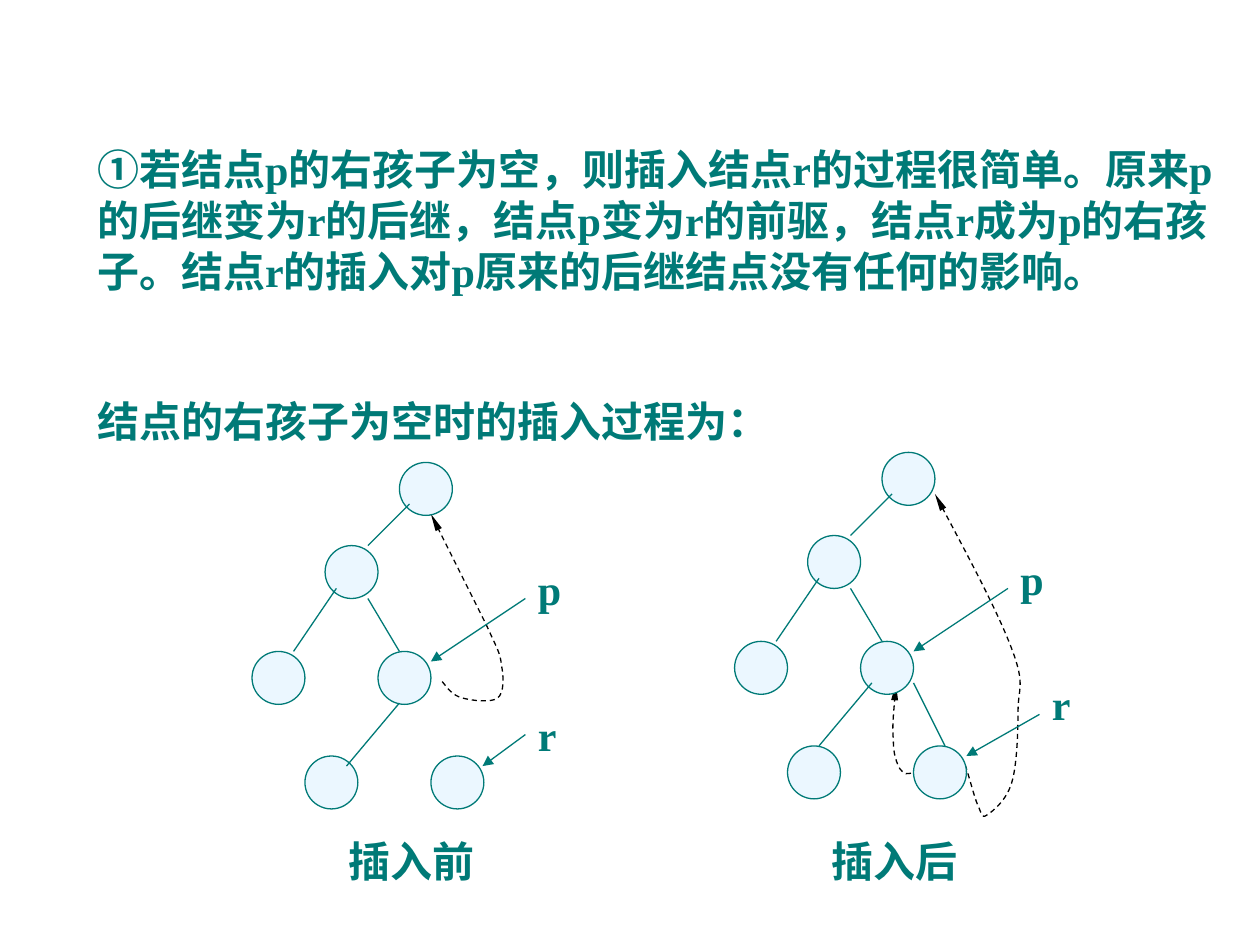
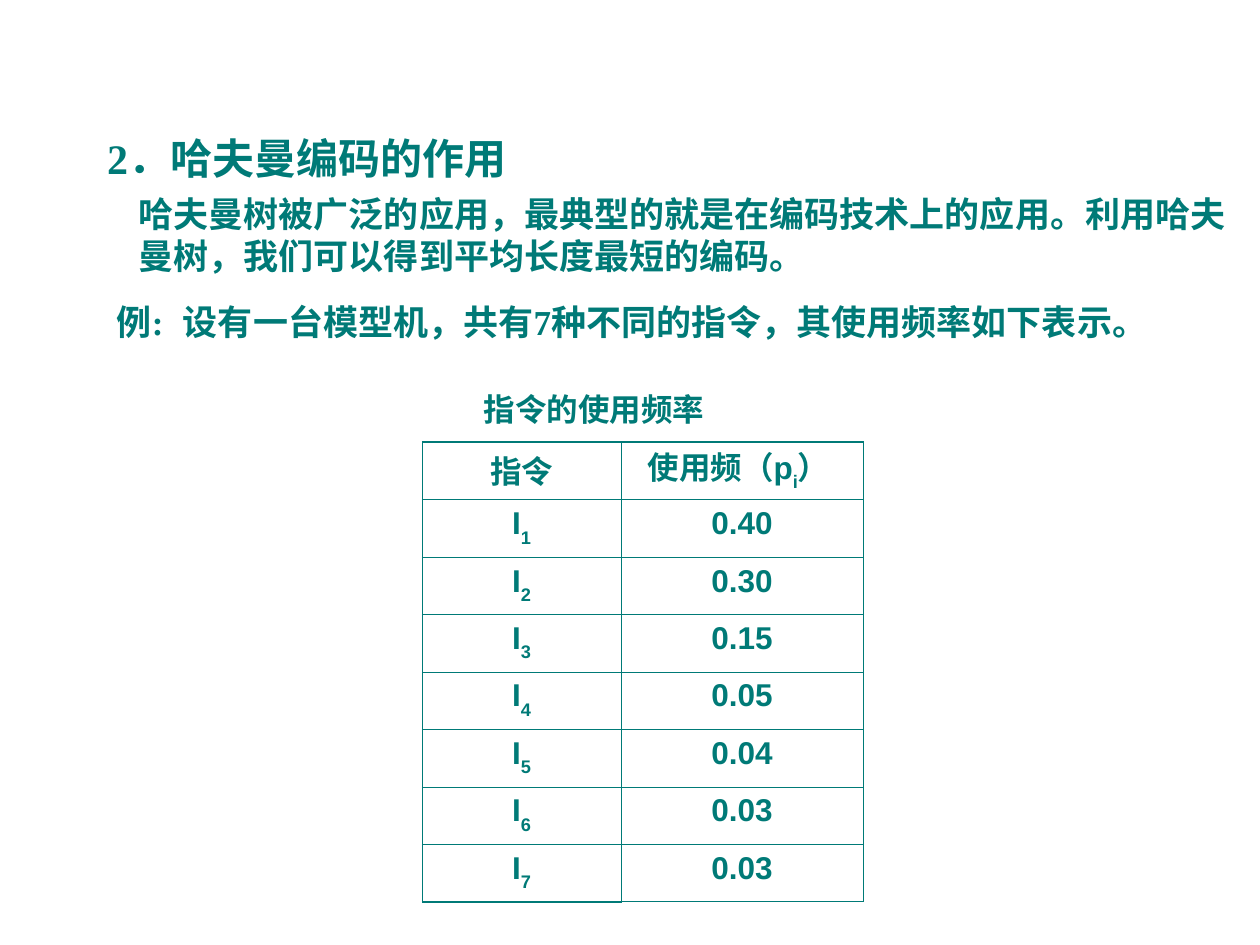
"""Builds two slides on threaded tree insertion and Huffman coding."""
from itertools import groupby

from lxml.etree import SubElement
from pptx import Presentation
from pptx.dml.color import RGBColor
from pptx.enum.dml import MSO_LINE
from pptx.enum.shapes import MSO_CONNECTOR, MSO_SHAPE
from pptx.enum.text import MSO_ANCHOR, MSO_AUTO_SIZE, PP_ALIGN
from pptx.oxml.ns import qn
from pptx.util import Inches, Pt

COLORS = {"teal": "007A77", "node": "EBF7FF", "thread": "000000"}
CJK, SERIF, SANS = "Noto Sans CJK SC", "Times New Roman", "Arial"
THIN, THICK = 0.45, 1.08

NODE_SIZE = 0.42
NODES = [(3.17, 3.67), (2.58, 4.33), (2, 5.17), (3, 5.17), (2.42, 6), (3.42, 6)]
EDGES = [((3.25, 4), (2.92, 4.33)), ((2.67, 4.67), (2.33, 5.17)),
         ((2.92, 4.75), (3.17, 5.17))]
P_ARROW = ((4.17, 4.75), (3.42, 5.25))
AFTER_SHIFT = (3.83, -0.08)

THREAD_BEFORE = [
    (3.51, 5.41), (3.55, 5.46), (3.59, 5.52), (3.67, 5.54), (3.74, 5.56),
    (3.9, 5.58), (3.95, 5.54), (4, 5.5), (4, 5.38), (3.98, 5.28),
    (3.97, 5.18), (3.95, 5.16), (3.86, 4.96), (3.76, 4.76), (3.59, 4.42),
    (3.42, 4.08)]
THREAD_R_TO_P = [
    (7.36, 5.97), (7.32, 6.03), (7.29, 6.09), (7.26, 6.12), (7.24, 6.14),
    (7.21, 6.14), (7.19, 6.14), (7.17, 6.13), (7.15, 6.12), (7.13, 6.08),
    (7.11, 6.03), (7.09, 5.98), (7.09, 5.87), (7.08, 5.76), (7.1, 5.59),
    (7.11, 5.42)]
THREAD_R_TO_ROOT = [
    (7.66, 6.07), (7.7, 6.19), (7.73, 6.32), (7.76, 6.39), (7.79, 6.45),
    (7.79, 6.5), (7.83, 6.47), (7.88, 6.44), (7.99, 6.35), (8.03, 6.21),
    (8.07, 6.08), (8.08, 5.81), (8.08, 5.64), (8.08, 5.46), (8.14, 5.44),
    (8.03, 5.15), (7.92, 4.86), (7.67, 4.39), (7.42, 3.92)]

FREQUENCIES = ["0.40", "0.30", "0.15", "0.05", "0.04", "0.03", "0.03"]


def rgb(name):
    return RGBColor.from_string(COLORS[name])


def add_runs(p, text, size, latin=SERIF, sub=False):
    for is_ascii, chars in groupby(text, str.isascii):
        r = p.add_run()
        r.text = "".join(chars)
        r.font.size, r.font.bold = Pt(size), True
        r.font.color.rgb = rgb("teal")
        r.font.name = latin if is_ascii else CJK
        rPr = r.font._element
        SubElement(rPr, qn("a:ea"), typeface=CJK)
        if sub:
            rPr.set("baseline", "-30000")
        if r.text.startswith(":"):
            rPr.set("spc", "300")


def write_text(sp, box, text, size=24, align=PP_ALIGN.LEFT):
    sp.left, sp.top, sp.width, sp.height = map(Inches, box)
    tf = sp.text_frame
    tf.word_wrap, tf.auto_size = True, MSO_AUTO_SIZE.NONE
    tf.vertical_anchor = MSO_ANCHOR.TOP
    p = tf.paragraphs[0]
    p.alignment, p.space_before = align, Pt(0)
    p.line_spacing = Pt(size * 1.215)
    pPr = p._p.get_or_add_pPr()
    pPr.set("marL", "0")
    pPr.set("indent", "0")
    SubElement(pPr, qn("a:buNone"))
    add_runs(p, text, size)


def add_text(slide, box, text, **style):
    sp = slide.shapes.add_textbox(*map(Inches, box))
    write_text(sp, box, text, **style)


def style_line(sp, color, arrow_width=None):
    sp.line.color.rgb, sp.line.width = rgb(color), Pt(0.75)
    if arrow_width:
        SubElement(sp.line._get_or_add_ln(), qn("a:tailEnd"), type="triangle",
                   w=arrow_width, len="lg" if arrow_width == "sm" else "med")


def add_line(slide, start, end, arrow_width=None):
    c = slide.shapes.add_connector(MSO_CONNECTOR.STRAIGHT, *map(Inches, start + end))
    style_line(c, "teal", arrow_width)
    SubElement(c._element.spPr, qn("a:effectLst"))


def add_node(slide, x, y):
    sp = slide.shapes.add_shape(
        MSO_SHAPE.OVAL, *map(Inches, (x, y, NODE_SIZE, NODE_SIZE)))
    sp.shadow.inherit = False
    sp.fill.solid()
    sp.fill.fore_color.rgb = rgb("node")
    style_line(sp, "teal")


def curve_segments(sp):
    segments = list(sp._element.iter(qn("a:lnTo")))
    outline = segments[0].getparent()
    for i in range(0, len(segments), 3):
        curve = SubElement(outline, qn("a:cubicBezTo"))
        for segment in segments[i:i + 3]:
            curve.append(segment[0])
            outline.remove(segment)


def add_thread(slide, points):
    start, *rest = [tuple(map(Inches, point)) for point in points]
    builder = slide.shapes.build_freeform(*start)
    builder.add_line_segments(rest, close=False)
    sp = builder.convert_to_shape()
    curve_segments(sp)
    sp.shadow.inherit = False
    sp.fill.background()
    sp.line.dash_style = MSO_LINE.DASH
    style_line(sp, "thread", "sm")


def add_tree(slide, caption, threads, edges, r_arrow, r_label, shift=(0, 0)):
    def move(point):
        return point[0] + shift[0], point[1] + shift[1]

    for thread in threads:
        add_thread(slide, thread)
    for node in NODES:
        add_node(slide, *move(node))
    for start, end in EDGES:
        add_line(slide, move(start), move(end))
    for start, end in edges:
        add_line(slide, start, end)
    add_line(slide, *map(move, P_ARROW), arrow_width="med")
    add_line(slide, *r_arrow, arrow_width="med")
    add_text(slide, (*move((4.17, 4.42)), 0.58, 0.5), "p")
    add_text(slide, (*r_label, 0.58, 0.5), "r")
    add_text(slide, (2.67 + shift[0], 6.58, 1.33, 0.5), caption)


def set_borders(cell, **widths):
    tcPr = cell._tc.get_or_add_tcPr()
    for i, (side, width) in enumerate(widths.items()):
        ln = SubElement(tcPr, qn(f"a:ln{side}"), w=str(Pt(width)))
        fill = SubElement(ln, qn("a:solidFill"))
        SubElement(fill, qn("a:srgbClr"), val=COLORS["teal"])
        tcPr.insert(i, ln)


def add_frequency_table(slide):
    rows = [([("指令", False)], [("使用频（p", False), ("i", True), ("） ", False)])]
    rows += [([("I", False), (str(i), True)], [(value, False)])
             for i, value in enumerate(FREQUENCIES, 1)]
    last = len(rows) - 1
    table = slide.shapes.add_table(
        len(rows), 2, *map(Inches, (3.35, 3.51, 3.5, 3.65))).table
    table.columns[0].width, table.columns[1].width = Inches(1.58), Inches(1.92)
    for i, row in enumerate(rows):
        for j, parts in enumerate(row):
            cell = table.cell(i, j)
            cell.fill.background()
            set_borders(cell, L=THIN, R=THIN, T=THIN if i else THICK,
                        B=THICK if i == last and j == 0 else THIN)
            p = cell.text_frame.paragraphs[0]
            p.alignment = PP_ALIGN.CENTER
            if i == 0:
                p.line_spacing = Pt(21.6)
                cell.margin_top, cell.margin_bottom = Inches(0.1), Inches(0.03)
            for text, sub in parts:
                add_runs(p, text, 18, SANS, sub)


def add_slide(prs, title, title_box, body, body_box, body_size):
    slide = prs.slides.add_slide(prs.slide_layouts[1])
    write_text(slide.shapes.title, title_box, title)
    write_text(slide.placeholders[1], body_box, body, size=body_size)
    return slide


def build_insertion_slide(prs):
    slide = add_slide(
        prs, "结点的右孩子为空时的插入过程为：", (0.67, 3.08, 7.88, 0.5),
        "①若结点p的右孩子为空，则插入结点r的过程很简单。原来p的后继变为r的后继，"
        "结点p变为r的前驱，结点r成为p的右孩子。结点r的插入对p原来的后继结点没有任何的影响。",
        (0.67, 1.08, 9.08, 1.77), 24)
    add_tree(slide, "插入前", [THREAD_BEFORE], [((3.17, 5.58), (2.75, 6.08))],
             ((4.17, 5.83), (3.83, 6.08)), (4.17, 5.58))
    add_tree(slide, "插入后", [THREAD_R_TO_P, THREAD_R_TO_ROOT],
             [((6.92, 5.42), (6.5, 5.92)), ((7.25, 5.42), (7.5, 5.92))],
             ((8.25, 5.67), (7.67, 6)), (8.25, 5.33), AFTER_SHIFT)


def build_huffman_slide(prs):
    slide = add_slide(
        prs, "2．哈夫曼编码的作用", (0.75, 1, 8.25, 0.5),
        "哈夫曼树被广泛的应用，最典型的就是在编码技术上的应用。"
        "利用哈夫曼树，我们可以得到平均长度最短的编码。", (1, 1.47, 9, 0.77), 20)
    add_text(slide, (0.83, 2.33, 8.67, 0.44),
             "例: 设有一台模型机，共有7种不同的指令，其使用频率如下表示。", size=20)
    add_frequency_table(slide)
    add_text(slide, (3.55, 3.04, 2.33, 0.4), "指令的使用频率",
             size=18, align=PP_ALIGN.CENTER)


def main():
    prs = Presentation()
    prs.slide_width, prs.slide_height = Inches(10), Inches(7.5)
    build_insertion_slide(prs)
    build_huffman_slide(prs)
    prs.save("out.pptx")


if __name__ == "__main__":
    main()
